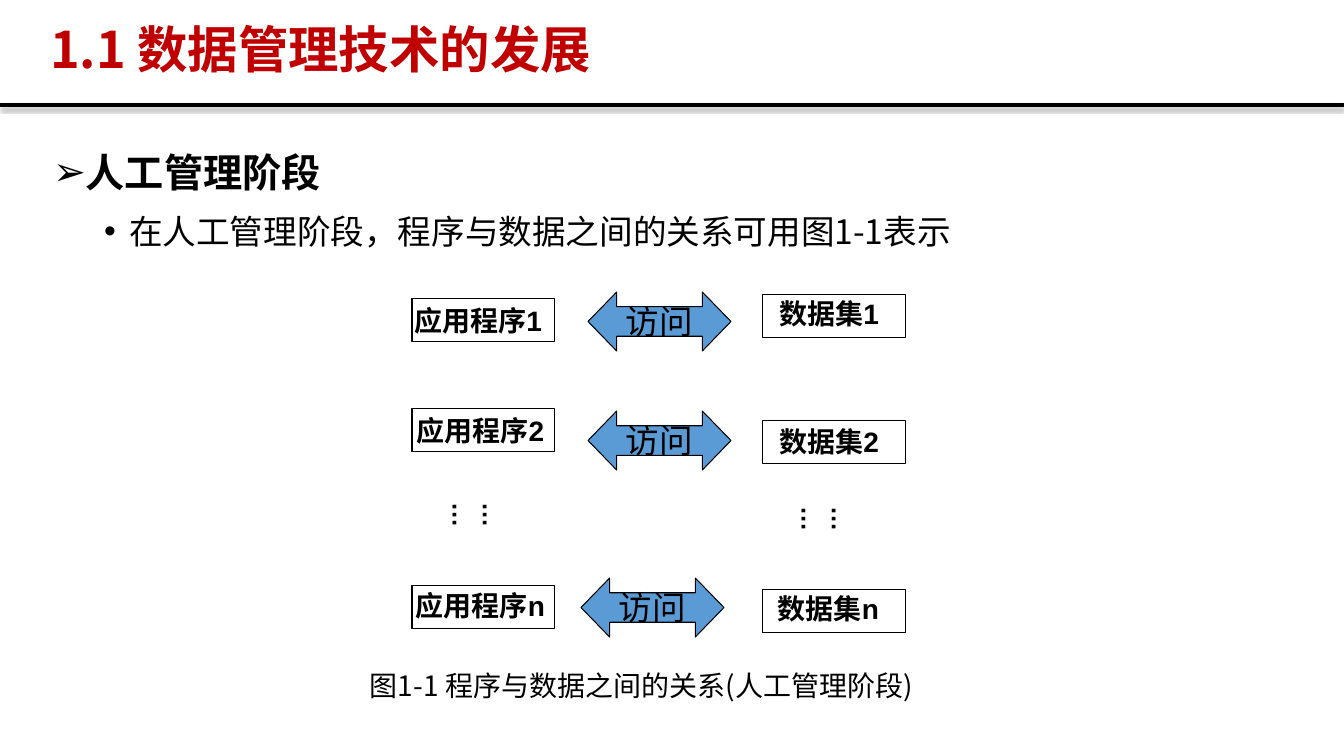
"""Build the slide on how programs relate to data in the manual stage."""
from typing import NamedTuple

from lxml import etree
from pptx import Presentation
from pptx.dml.color import RGBColor
from pptx.enum.shapes import MSO_CONNECTOR, MSO_SHAPE
from pptx.enum.text import MSO_ANCHOR, MSO_AUTO_SIZE, PP_ALIGN
from pptx.oxml.ns import qn
from pptx.util import Pt

LEFT, RIGHT = PP_ALIGN.LEFT, PP_ALIGN.RIGHT
CENTER, JUSTIFY = PP_ALIGN.CENTER, PP_ALIGN.JUSTIFY
TOP, MIDDLE = MSO_ANCHOR.TOP, MSO_ANCHOR.MIDDLE
FIXED = MSO_AUTO_SIZE.NONE
RECT, ARROW = MSO_SHAPE.RECTANGLE, MSO_SHAPE.LEFT_RIGHT_ARROW
STRAIGHT = MSO_CONNECTOR.STRAIGHT


class Theme(NamedTuple):
    black: RGBColor = RGBColor(0, 0, 0)
    red: RGBColor = RGBColor(0xC0, 0, 0)
    blue: RGBColor = RGBColor(0x5B, 0x9B, 0xD5)
    main: str = "Noto Sans CJK SC"
    label: str = "Arial"
    arrow: str = "Cabin"
    title: int = 36
    head: int = 28
    body: int = 24
    small: int = 20
    dots: int = 18


THEME = Theme()
TITLE = "1.1 数据管理技术的发展"
POINTS = [
    ("人工管理阶段", "➢", 0, 25, THEME.head, True),
    ("在人工管理阶段，程序与数据之间的关系可用图1-1表示", "•", 1, 76, THEME.body, False),
]
CAPTION = "图1-1 程序与数据之间的关系(人工管理阶段)"
BOXES = [
    ("应用程序1", (412, 299), (404, 299, 148, 43)),
    ("数据集1", (763, 295), (769, 292, 120, 43)),
    ("应用程序2", (412, 409), (406, 409, 148, 43)),
    ("数据集2", (763, 421), (769, 420, 120, 43)),
    ("应用程序n", (412, 586), (405, 584, 150, 43)),
    ("数据集n", (763, 590), (767, 587, 122, 43)),
]
ARROWS = [(588, 292), (588, 411), (581, 578)]
DOTS = [(463, 493), (812, 497)]
WIDE, TALL = 1344, 756
BOX = (143, 43)
SPAN = (143, 59)
RULE = 105
HANG = 25


def px(num):
    return round(num * 914400 / 100.8)


def place(shape, area):
    shape.left, shape.top, shape.width, shape.height = map(px, area)


def style(para, size, color=THEME.black, name=THEME.main, bold=False, align=LEFT):
    para.alignment = align
    font = para.font
    font.size, font.bold, font.name = Pt(size), bold, name
    font.color.rgb = color


def east(shape):
    for props in shape.element.iter(qn("a:defRPr")):
        etree.SubElement(props, qn("a:ea"), typeface=THEME.main)


def write(slide, area, text, size, **look):
    box = slide.shapes.add_textbox(*map(px, area))
    frame = box.text_frame
    frame.word_wrap = True
    frame.text = text
    style(frame.paragraphs[0], size, **look)
    east(box)
    return box


def draw(slide, kind, spot, size):
    shape = slide.shapes.add_shape(kind, *map(px, spot + size))
    shape.shadow.inherit = False
    shape.line.color.rgb = THEME.black
    shape.line.width = Pt(0.75)
    return shape


def add_rule(slide):
    line = slide.shapes.add_connector(STRAIGHT, 0, px(RULE), px(WIDE), px(RULE))
    line.line.color.rgb = THEME.black
    line.line.width = Pt(3)
    props = line.element.find(qn("p:spPr"))
    list_ = etree.SubElement(props, qn("a:effectLst"))
    shade = etree.SubElement(list_, qn("a:outerShdw"), blurRad=str(Pt(3.1)),
                             dist=str(Pt(1.8)), dir="5400000", rotWithShape="0")
    tint = etree.SubElement(shade, qn("a:srgbClr"), val=str(THEME.black))
    etree.SubElement(tint, qn("a:alpha"), val="35000")


def add_title(slide):
    title = slide.shapes.title
    place(title, (40, 19, 1179, 66))
    frame = title.text_frame
    frame.text = TITLE
    frame.auto_size, frame.vertical_anchor = FIXED, MIDDLE
    para = frame.paragraphs[0]
    para.line_spacing = 0.9
    style(para, THEME.title, THEME.red, bold=True, align=JUSTIFY)
    east(title)


def add_points(slide):
    body = slide.placeholders[1]
    place(body, (43, 134, 1263, 546))
    frame = body.text_frame
    frame.text = "\n".join(point[0] for point in POINTS)
    frame.auto_size, frame.vertical_anchor = FIXED, TOP
    nodes = body.element.iter(qn("a:p"))
    for para, node, point in zip(frame.paragraphs, nodes, POINTS):
        text, mark, level, edge, size, bold = point
        para.level = level
        para.line_spacing = 1.2
        para.space_before = Pt(5 * level)
        props = node.find(qn("a:pPr"))
        props.set("marL", str(px(edge)))
        props.set("indent", str(-px(HANG)))
        etree.SubElement(props, qn("a:buFont"), typeface=THEME.label)
        etree.SubElement(props, qn("a:buChar"), char=mark)
        style(para, size, bold=bold, align=JUSTIFY)
    east(body)


def add_figure(slide):
    for text, spot, area in BOXES:
        draw(slide, RECT, spot, BOX).fill.background()
        write(slide, area, text, THEME.small, name=THEME.label, bold=True, align=RIGHT)
    for spot in DOTS:
        box = write(slide, spot + (50, 60), "……", THEME.dots, name=THEME.label, bold=True)
        box.element.find(".//" + qn("a:bodyPr")).set("vert", "eaVert")
    for spot in ARROWS:
        arrow = draw(slide, ARROW, spot, SPAN)
        arrow.adjustments[0], arrow.adjustments[1] = 0.5, 0.486
        arrow.fill.solid()
        arrow.fill.fore_color.rgb = THEME.blue
        frame = arrow.text_frame
        frame.text = "访问"
        frame.word_wrap, frame.vertical_anchor = False, MIDDLE
        style(frame.paragraphs[0], THEME.body, name=THEME.arrow, align=CENTER)
        east(arrow)
    write(slide, (360, 664, 582, 44), CAPTION, THEME.small)


def main():
    deck = Presentation()
    deck.slide_width, deck.slide_height = px(WIDE), px(TALL)
    slide = deck.slides.add_slide(deck.slide_layouts[1])
    add_rule(slide)
    add_title(slide)
    add_points(slide)
    add_figure(slide)
    deck.save("out.pptx")


if __name__ == "__main__":
    main()
